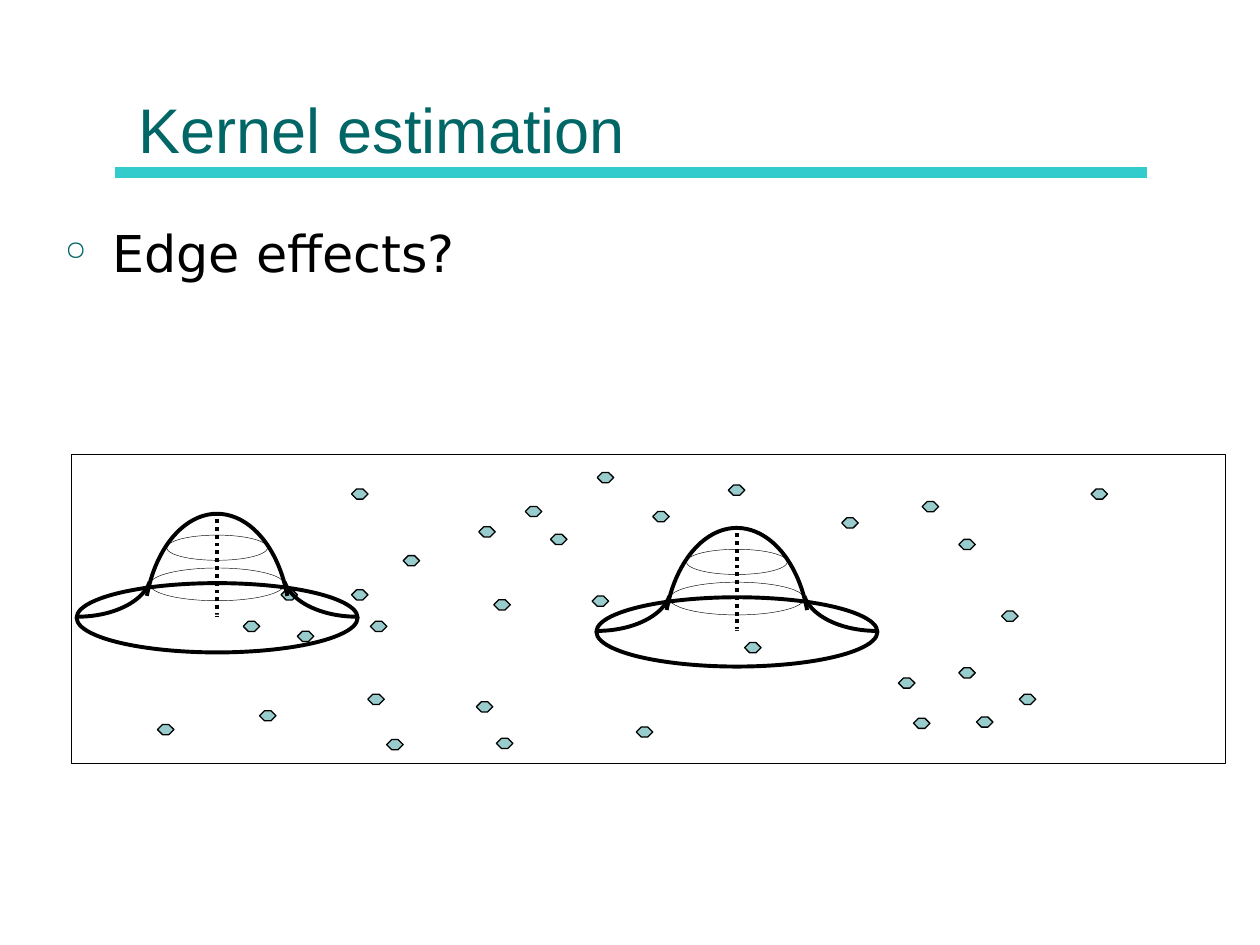
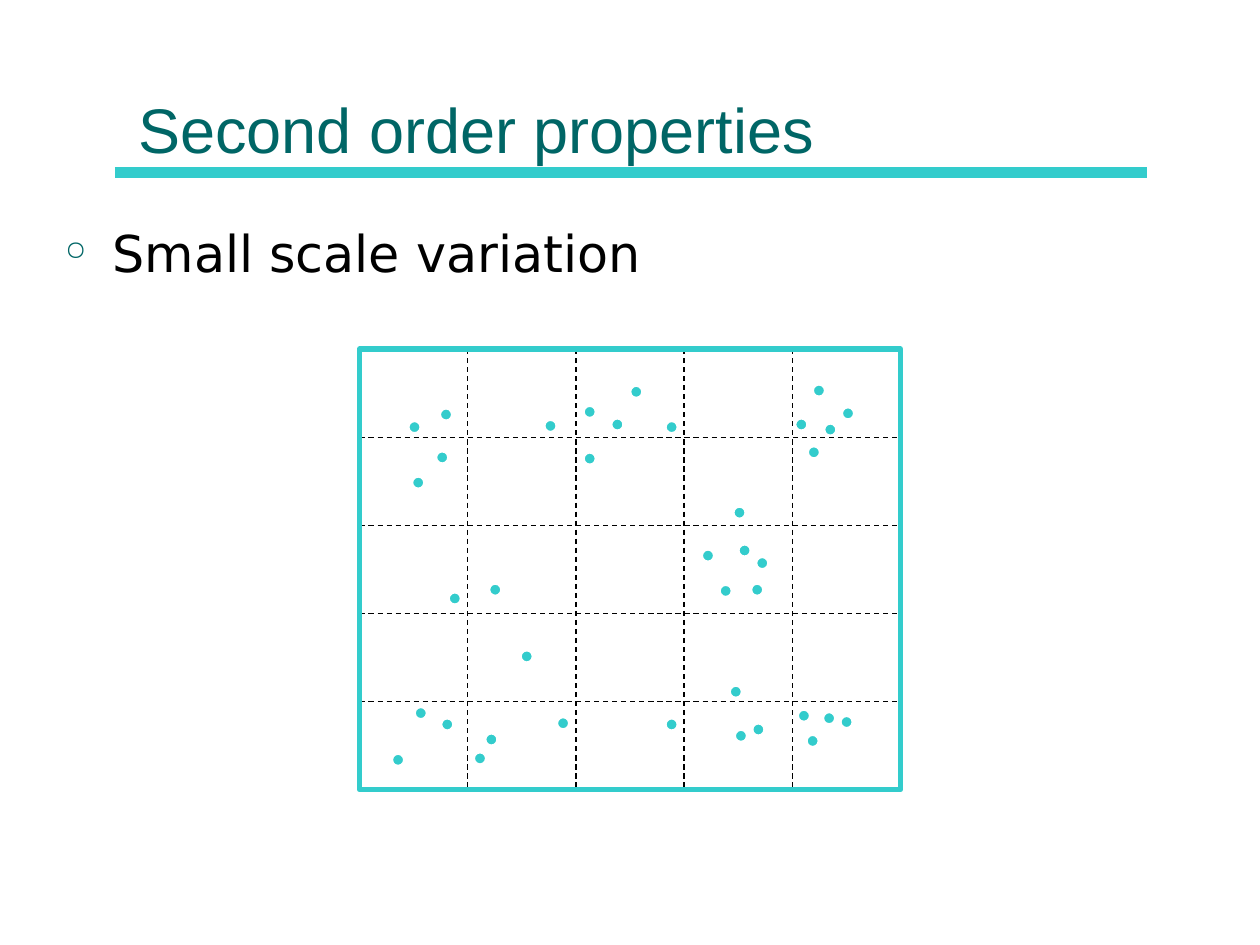
"""Build two slides on point patterns: kernel edge effects and second order properties."""
import dataclasses
import typing

import lxml.etree
import pptx
import pptx.dml.color
import pptx.enum.dml
import pptx.enum.shapes
import pptx.enum.text
import pptx.oxml.ns
import pptx.util

Pt = pptx.util.Pt
Kind = pptx.enum.shapes.MSO_SHAPE
Dash = pptx.enum.dml.MSO_LINE
Anchor = pptx.enum.text.MSO_ANCHOR
Point = tuple[float, float]

COLORS = {
    "title": "006666",
    "band": "33CCCC",
    "event": "99CCCC",
    "ink": "000000",
    "paper": "FFFFFF",
}


@dataclasses.dataclass(frozen=True)
class Look:
    kind: Kind
    line: str
    weight: float
    fill: str | None = None
    adjust: tuple[float, ...] = ()


@dataclasses.dataclass(frozen=True)
class Box:
    left: float
    top: float
    width: float
    height: float


@dataclasses.dataclass(frozen=True)
class Label:
    box: Box
    font: str
    size: float
    color: str
    anchor: Anchor
    bullet: str | None = None


@dataclasses.dataclass(frozen=True)
class Part:
    look: Look
    shift: float
    drop: float
    width: float
    height: float


def arc(start: float, end: float) -> Look:
    return Look(Kind.ARC, "ink", 2.25, None, (start * 0.6, end * 0.6))


TITLE = Label(Box(72, 8.6, 576, 90), "Arial", 36, "title", Anchor.BOTTOM)
BODY = Label(Box(30.2, 123.1, 657.4, 324), "DejaVu Sans", 29, "ink", Anchor.TOP, "○")

EVENT = Look(Kind.OCTAGON, "ink", 0.75, "event", (0.5,))
DOT = Look(Kind.OVAL, "paper", 1.5, "band")
REGION = Look(Kind.RECTANGLE, "ink", 0.75)
FRAME = Look(Kind.RECTANGLE, "band", 3)
FOOT = Look(Kind.OCTAGON, "paper", 0.75, None, (0.36,))
BRIM = Look(Kind.OVAL, "ink", 2.25)
RING = Look(Kind.OVAL, "ink", 0.25)

AREA = Box(41, 259.8, 659.5, 176.6)
GRID = Box(205.4, 199.5, 309.2, 251.8)
CELLS = 5

PEAKS = [(421.1, 301.7), (124.1, 293.6)]
PARTS = [
    Part(FOOT, 0, 58, 6.4, 2.9),
    Part(BRIM, 0, 39.6, 160.6, 39.6),
    Part(arc(270, 336), 0, 0, 83.5, 129.6),
    Part(arc(90, 173), 79.8, 9, 84.2, 49.8),
    Part(arc(204, 270), 0, 0, 83.5, 129.6),
    Part(arc(7, 90), -79.8, 9, 84.2, 49.8),
    Part(RING, 0, 31, 77, 18.7),
    Part(RING, 0, 12.2, 57.6, 14.4),
]

EVENTS = [
    (282.2, 342.7), (522, 410.4), (513.4, 387.4), (273.6, 301), (547.9, 308.2),
    (139, 355), (169.9, 360.7), (314.6, 305.3), (527, 286.6), (200.9, 279.4),
    (572.4, 349.2), (623.5, 279.4), (547.9, 381.6), (481, 295.9), (272.2, 401),
    (148.3, 406.1), (90, 414), (558, 409.7), (160.6, 337), (341.3, 270),
    (338.4, 340.6), (416.2, 277.2), (221, 422.6), (363.6, 415.4), (425.5, 367.2),
    (582.5, 396.7), (230.4, 317.5), (300.2, 289.4), (210.2, 396.7), (211.7, 355),
    (200.9, 337), (283.7, 421.9), (373, 292.3),
]
DOTS = [
    (432, 318.2), (311, 239.8), (251.3, 233.3), (481, 232.6), (429.1, 333.4),
    (380.2, 240.5), (249.1, 257.8), (401, 313.9), (333.4, 258.5), (279.4, 333.4),
    (233.3, 240.5), (256.3, 338.4), (421.9, 311), (360, 220.3), (333.4, 231.8),
    (235.4, 272.2), (349.2, 239), (454.3, 239), (464.4, 219.6), (411.1, 334.1),
    (297.4, 371.5), (419, 289.4), (461.5, 254.9), (470.9, 241.9), (270.7, 429.8),
    (236.9, 403.9), (252, 410.4), (277.2, 419), (223.9, 430.6), (429.8, 413.3),
    (480.2, 409), (419.8, 416.9), (455.8, 405.4), (416.9, 391.7), (460.8, 419.8),
    (470.2, 406.8), (318.2, 409.7), (380.2, 410.4),
]


def tint(name: str) -> pptx.dml.color.RGBColor:
    return pptx.dml.color.RGBColor.from_string(COLORS[name])


def place(box: Box) -> list[int]:
    return [Pt(side) for side in dataclasses.astuple(box)]


def stroke(item: typing.Any, color: str, weight: float) -> None:
    item.line.color.rgb = tint(color)
    item.line.width = Pt(weight)


def draw_shape(slide: typing.Any, look: Look, box: Box) -> None:
    shape = slide.shapes.add_shape(look.kind, *place(box))
    shape.shadow.inherit = False
    for index, value in enumerate(look.adjust):
        shape.adjustments[index] = value
    if look.fill:
        shape.fill.solid()
        shape.fill.fore_color.rgb = tint(look.fill)
    else:
        shape.fill.background()
    stroke(shape, look.line, look.weight)


def draw_line(slide: typing.Any, start: Point, end: Point, color: str,
              weight: float, dash: Dash | None = None) -> None:
    ends = [Pt(value) for value in (*start, *end)]
    line = slide.shapes.add_connector(pptx.enum.shapes.MSO_CONNECTOR.STRAIGHT, *ends)
    stroke(line, color, weight)
    if dash:
        line.line.dash_style = dash
    props = line._element.spPr
    lxml.etree.SubElement(props, pptx.oxml.ns.qn("a:effectLst"))


def add_bullet(para: typing.Any, mark: str) -> None:
    props = para._p.get_or_add_pPr()
    props.set("marL", str(Pt(27)))
    props.set("indent", str(-Pt(27)))
    qn = pptx.oxml.ns.qn
    color = lxml.etree.SubElement(props, qn("a:buClr"))
    lxml.etree.SubElement(color, qn("a:srgbClr"), val=COLORS["title"])
    lxml.etree.SubElement(props, qn("a:buSzPct"), val="53000")
    lxml.etree.SubElement(props, qn("a:buChar"), char=mark)


def draw_label(slide: typing.Any, label: Label, text: str) -> None:
    frame = slide.shapes.add_textbox(*place(label.box)).text_frame
    frame.word_wrap = True
    frame.vertical_anchor = label.anchor
    para = frame.paragraphs[0]
    para.text = text
    if label.bullet:
        add_bullet(para, label.bullet)
    para.font.name = label.font
    para.font.size = Pt(label.size)
    para.font.color.rgb = tint(label.color)


def draw_kernel(slide: typing.Any, peak: Point) -> None:
    x, y = peak
    draw_line(slide, (x, y + 59), (x, y + 0.7), "ink", 2.25, Dash.ROUND_DOT)
    for part in PARTS:
        left = x + part.shift - part.width / 2
        draw_shape(slide, part.look, Box(left, y + part.drop, part.width, part.height))


def draw_grid(slide: typing.Any, box: Box) -> None:
    right, bottom = box.left + box.width, box.top + box.height
    for step in range(1, CELLS):
        x = box.left + box.width * step / CELLS
        y = box.top + box.height * step / CELLS
        draw_line(slide, (x, box.top), (x, bottom), "ink", 0.75, Dash.DASH)
        draw_line(slide, (box.left, y), (right, y), "ink", 0.75, Dash.DASH)
    draw_shape(slide, FRAME, box)


def add_slide(deck: typing.Any, title: str, body: str) -> typing.Any:
    slide = deck.slides.add_slide(deck.slide_layouts[6])
    draw_line(slide, (65.7, 98.6), (655.4, 98.6), "band", 6)
    draw_label(slide, TITLE, title)
    draw_label(slide, BODY, body)
    return slide


def main() -> None:
    deck = pptx.Presentation()
    deck.slide_width, deck.slide_height = Pt(720), Pt(540)

    edge = add_slide(deck, "Kernel estimation", "Edge effects?")
    draw_shape(edge, REGION, AREA)
    for left, top in EVENTS:
        draw_shape(edge, EVENT, Box(left, top, 9.4, 5.8))
    for peak in PEAKS:
        draw_kernel(edge, peak)

    small = add_slide(deck, "Second order properties", "Small scale variation")
    for left, top in DOTS:
        draw_shape(small, DOT, Box(left, top, 7.2, 7.2))
    draw_grid(small, GRID)

    deck.save("out.pptx")


if __name__ == "__main__":
    main()
